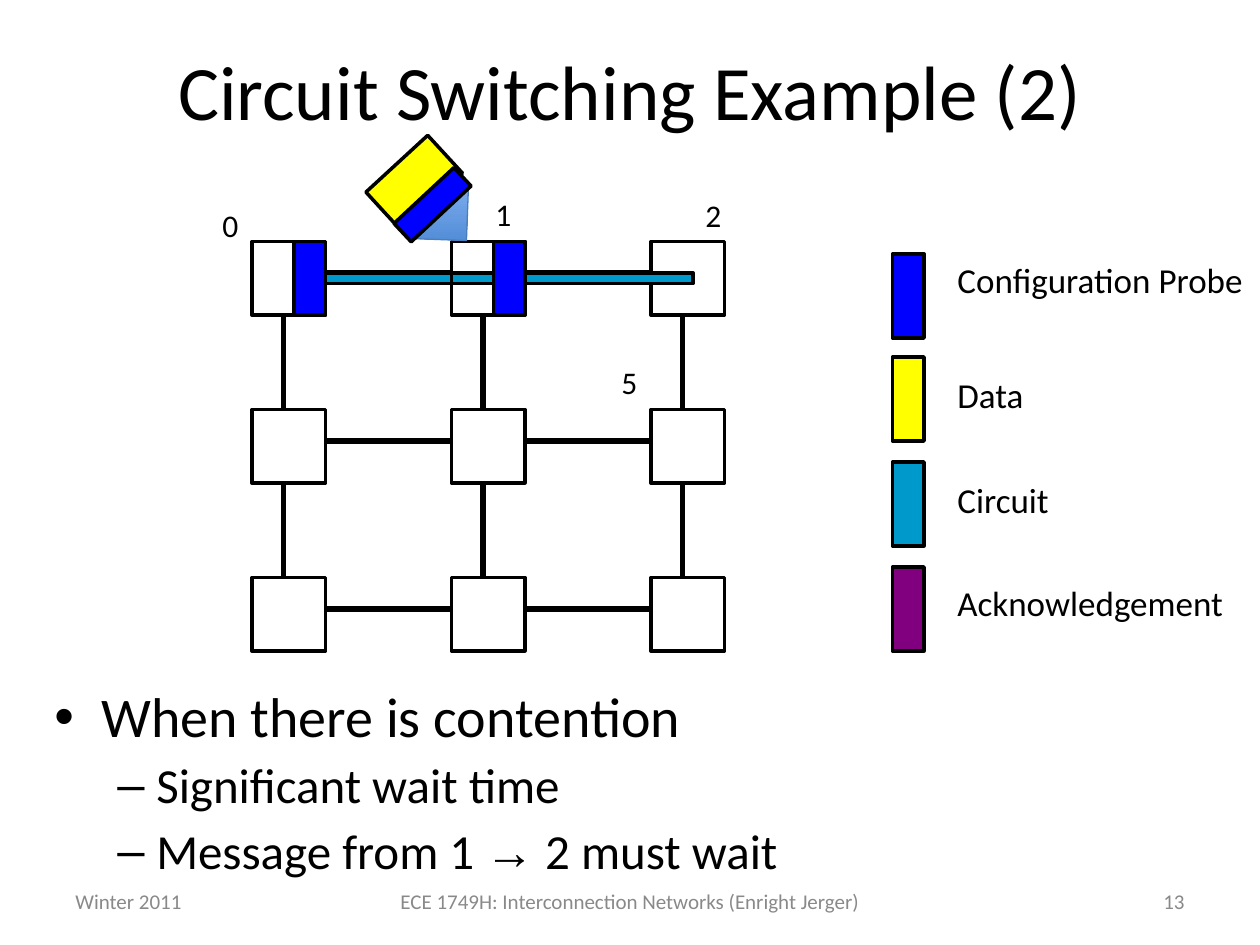
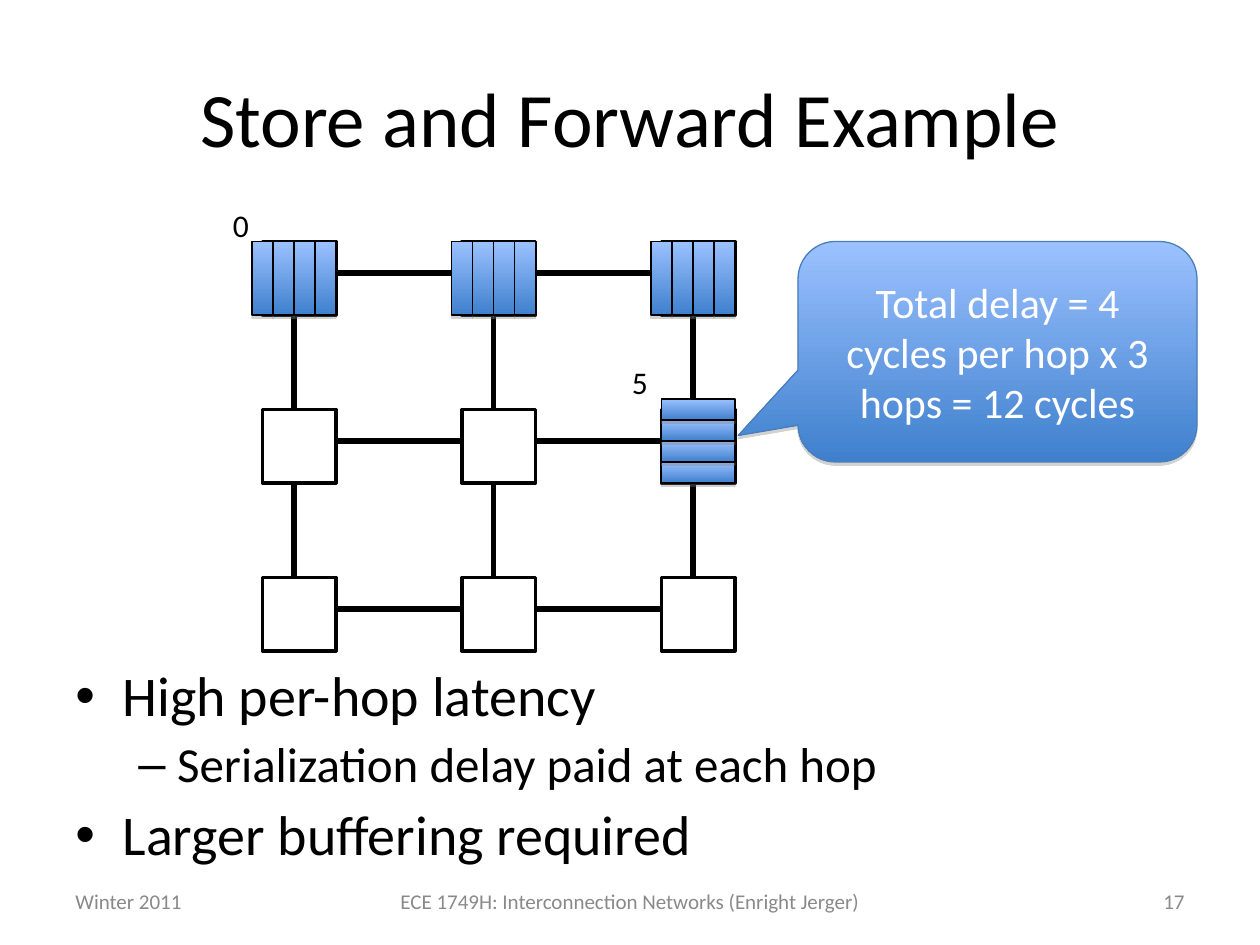
from lxml import etree
from pptx import Presentation
from pptx.dml.color import RGBColor
from pptx.enum import shapes, text
from pptx.oxml import ns
from pptx.util import Pt

PX = 7620  # EMU per px: 120 px to the inch

BLACK = RGBColor(0x00, 0x00, 0x00)
WHITE = RGBColor(0xFF, 0xFF, 0xFF)
GREY = RGBColor(0x89, 0x89, 0x89)
PROBE_BLUE = RGBColor(0x00, 0x00, 0xFF)
DATA_YELLOW = RGBColor(0xFF, 0xFF, 0x00)
CIRCUIT_TEAL = RGBColor(0x00, 0x99, 0xCC)
ACK_PURPLE = RGBColor(0x80, 0x00, 0x80)
LIGHT_BLUE = RGBColor(0x9B, 0xC1, 0xFF)
DARK_BLUE = RGBColor(0x3F, 0x80, 0xCD)
EDGE_BLUE = RGBColor(0x4A, 0x7E, 0xBB)

FONT = "Calibri"
COURSE = "ECE 1749H: Interconnection Networks (Enright Jerger)"
LEFT, CENTER, RIGHT = (text.PP_ALIGN.LEFT, text.PP_ALIGN.CENTER,
                       text.PP_ALIGN.RIGHT)
RECTANGLE = shapes.MSO_SHAPE.RECTANGLE

# Mesh of 3 x 3 routers
MESH_TOP, NODE = 230, 70
STEP_X, STEP_Y = 190, 160
PORT_X = PORT_Y = 30  # where links meet a router's side
FLIT, FLITS = 20, 4

# Bullet levels: character, size, left margin, hanging indent, space before
LEVELS = [("•", 32, 45, 45, 8), ("–", 28, 97, 37, 7)]


def box(*lengths):
    return [length * PX for length in lengths]


# Text
def add_run(paragraph, words, size, color=BLACK, font=FONT):
    run = paragraph.add_run()
    run.text = words
    run.font.name = font
    run.font.size = Pt(size)
    run.font.color.rgb = color


def add_text(slide, at, words, size, color=BLACK, align=LEFT,
             anchor=text.MSO_ANCHOR.TOP):
    frame = slide.shapes.add_textbox(*box(*at)).text_frame
    frame.word_wrap = True
    frame.vertical_anchor = anchor
    frame.paragraphs[0].alignment = align
    add_run(frame.paragraphs[0], words, size, color)


def add_bullets(slide, at, items):
    frame = slide.shapes.add_textbox(*box(*at)).text_frame
    frame.word_wrap = True
    for index, (level, runs) in enumerate(items):
        mark, size, margin, indent, before = LEVELS[level]
        paragraph = frame.add_paragraph() if index else frame.paragraphs[0]
        properties = paragraph._p.get_or_add_pPr()
        properties.set("marL", str(margin * PX))
        properties.set("indent", str(-indent * PX))
        etree.SubElement(properties, ns.qn("a:buFont"), typeface="Arial")
        etree.SubElement(properties, ns.qn("a:buChar"), char=mark)
        paragraph.level = level
        paragraph.line_spacing = 0.9
        if index:
            paragraph.space_before = Pt(before)
        for words, font in runs:
            add_run(paragraph, words, size, font=font)


def add_node_label(slide, left, top, number):
    add_text(slide, (left, top, 90, 48), number, 18)


# Shapes
def add_block(parent, at, fill=None, line=BLACK, width=2, kind=RECTANGLE,
              rotation=0):
    shape = parent.shapes.add_shape(kind, *box(*at))
    shape.shadow.inherit = False
    shape.rotation = rotation
    shape.line.color.rgb = line
    shape.line.width = Pt(width)
    if fill is None:
        shape.fill.background()
    else:
        shape.fill.solid()
        shape.fill.fore_color.rgb = fill
    return shape


def set_gradient(shape, start, end, angle):
    shape.fill.gradient()
    shape.fill.gradient_angle = 360 - angle
    for stop, color in zip(shape.fill.gradient_stops, (start, end)):
        stop.color.rgb = color


def add_raised_block(slide, at, line=BLACK, kind=RECTANGLE):
    shape = add_block(slide, at, line=line, width=0.75, kind=kind)
    set_gradient(shape, LIGHT_BLUE, DARK_BLUE, 90)
    effects = shape._element.spPr.find(ns.qn("a:effectLst"))
    shadow = etree.SubElement(effects, ns.qn("a:outerShdw"), blurRad="0",
                              dist=str(Pt(1.8)), dir="5400000",
                              rotWithShape="0")
    color = etree.SubElement(shadow, ns.qn("a:srgbClr"), val="808080")
    etree.SubElement(color, ns.qn("a:alpha"), val="35000")
    return shape


def add_link(slide, *ends):
    link = slide.shapes.add_connector(shapes.MSO_CONNECTOR.STRAIGHT,
                                      *box(*ends))
    link.line.color.rgb = BLACK
    link.line.width = Pt(3)
    etree.SubElement(link._element.spPr, ns.qn("a:effectLst"))


def add_mesh(slide, mesh_left):
    columns = [mesh_left + STEP_X * i for i in range(3)]
    rows = [MESH_TOP + STEP_Y * i for i in range(3)]
    for top in rows:
        for left in columns:
            add_block(slide, (left, top, NODE, NODE))
    for top in rows:
        for left in columns[:-1]:
            add_link(slide, left + NODE, top + PORT_Y,
                     left + STEP_X, top + PORT_Y)
    for left in columns:
        for top in rows[:-1]:
            add_link(slide, left + PORT_X, top + NODE,
                     left + PORT_X, top + STEP_Y)
    return columns, rows


def add_legend_entry(slide, top, fill, label, label_top, label_height=53):
    add_block(slide, (850, top, 30, 80), fill)
    add_text(slide, (900, label_top, 300, label_height), label, 20)


# Slide frame: title and footer
def add_slide(presentation, title, title_top, number):
    slide = presentation.slides.add_slide(presentation.slide_layouts[6])
    middle = text.MSO_ANCHOR.MIDDLE
    add_text(slide, (60, title_top, 1080, 150), title, 44, BLACK, CENTER,
             middle)
    for left, width, words, align in ((60, 280, "Winter 2011", LEFT),
                                      (340, 520, COURSE, CENTER),
                                      (860, 280, number, RIGHT)):
        add_text(slide, (left, 834, width, 48), words, 12, GREY, align,
                 middle)
    return slide


def build_circuit_switching(presentation):
    slide = add_slide(presentation, "Circuit Switching Example (2)", 10, "13")
    add_bullets(slide, (40, 650, 1100, 200), [
        (0, [("When there is contention", FONT)]),
        (1, [("Significant wait time", FONT)]),
        (1, [("Message from 1 ", FONT), ("→", "Arial"),
             (" 2 must wait", FONT)]),
    ])
    columns, rows = add_mesh(slide, 240)

    # Probes and the reserved circuit along the top row
    circuit_top = rows[0] + PORT_Y
    add_block(slide, (columns[0] + 40, rows[0], 30, NODE), PROBE_BLUE)
    add_block(slide, (columns[0] + NODE, circuit_top, 120, 10), CIRCUIT_TEAL)
    add_block(slide, (columns[1], circuit_top, 230, 10), CIRCUIT_TEAL)
    add_block(slide, (columns[1] + 40, rows[0], 30, NODE), PROBE_BLUE)

    # Legend
    add_legend_entry(slide, 242, PROBE_BLUE, "Configuration Probe", 240, 92)
    add_legend_entry(slide, 340, DATA_YELLOW, "Data", 350)
    add_legend_entry(slide, 440, CIRCUIT_TEAL, "Circuit", 450)
    add_legend_entry(slide, 540, ACK_PURPLE, "Acknowledgement", 548)

    # Message waiting to enter node 1
    arrow = add_block(slide, (379, 152, 70, 89), line=EDGE_BLUE, width=0.75,
                      kind=shapes.MSO_SHAPE.DOWN_ARROW, rotation=317.1)
    set_gradient(arrow, DARK_BLUE, LIGHT_BLUE, 313)
    message = slide.shapes.add_group_shape()
    add_block(message, (370, 134, 49, 80), DATA_YELLOW, rotation=47.4)
    add_block(message, (400, 156, 24, 78), PROBE_BLUE, rotation=47)

    for left, top, number in ((200, 190, "0"), (460, 180, "1"),
                              (660, 181, "2"), (580, 340, "5")):
        add_node_label(slide, left, top, number)


def build_store_and_forward(presentation):
    slide = add_slide(presentation, "Store and Forward Example", 36, "17")
    add_bullets(slide, (60, 630, 1080, 210), [
        (0, [("High per-hop latency", FONT)]),
        (1, [("Serialization delay paid at each hop", FONT)]),
        (0, [("Larger buffering required", FONT)]),
    ])
    columns, rows = add_mesh(slide, 250)
    add_node_label(slide, 210, 190, "0")
    add_node_label(slide, 590, 340, "5")

    # Packet flits stored at each hop, last flit at the back
    offsets = [FLIT * i - 10 for i in reversed(range(FLITS))]
    for left in columns:
        for offset in offsets:
            add_raised_block(slide, (left + offset, rows[0], FLIT, NODE))
    for offset in offsets:
        add_raised_block(slide, (columns[2], rows[1] + offset, NODE, FLIT))

    # Delay callout
    callout = add_raised_block(slide, (760, 230, 380, 210), EDGE_BLUE,
                               shapes.MSO_SHAPE.ROUNDED_RECTANGULAR_CALLOUT)
    for index, value in enumerate((-0.65, 0.38, 0.17)):
        callout.adjustments[index] = value
    frame = callout.text_frame
    frame.word_wrap = True
    frame.vertical_anchor = text.MSO_ANCHOR.MIDDLE
    frame.paragraphs[0].alignment = CENTER
    add_run(frame.paragraphs[0],
            "Total delay = 4 cycles per hop x 3 hops = 12 cycles", 24, WHITE)


def main():
    presentation = Presentation()
    presentation.slide_width, presentation.slide_height = box(1200, 900)
    build_circuit_switching(presentation)
    build_store_and_forward(presentation)
    presentation.save("out.pptx")


if __name__ == "__main__":
    main()
